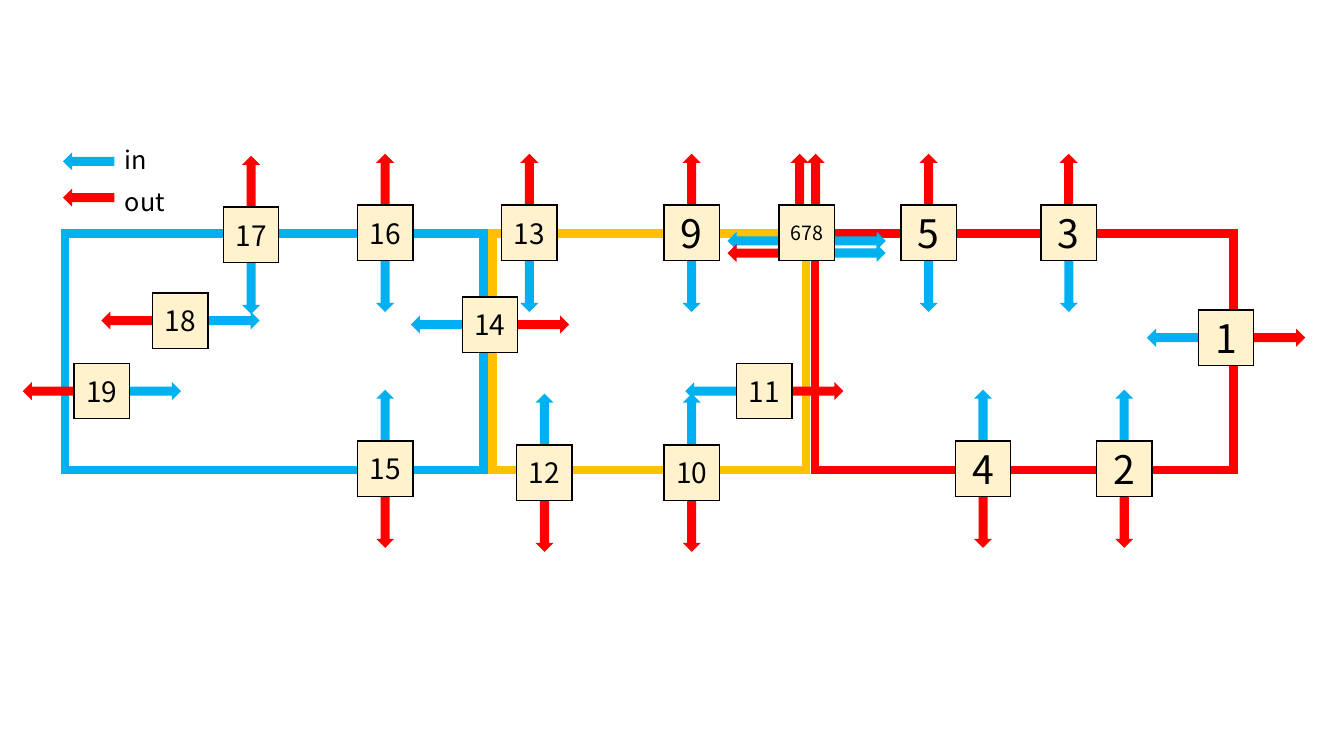
from lxml import etree
from pptx import Presentation
from pptx import util as u
from pptx.dml.color import RGBColor
from pptx.enum import shapes, text
from pptx.oxml import ns

IN_BLUE = RGBColor(0x00, 0xB0, 0xF0)
OUT_RED = RGBColor(0xFF, 0x00, 0x00)
AMBER = RGBColor(0xFF, 0xC0, 0x00)
CREAM = RGBColor(0xFF, 0xF2, 0xCC)
WHITE = RGBColor(0xFF, 0xFF, 0xFF)
BLACK = RGBColor(0x00, 0x00, 0x00)
FONT = "Noto Sans CJK JP"

BOX = 0.55
ARROW_LENGTH, ARROW_WIDTH = 0.51, 0.18
REACH = 0.53  # from the centre of a box to the centre of its arrow
# direction: (x step, y step, rotation)
DIRECTIONS = {"right": (1, 0, 0), "down": (0, 1, 90),
              "left": (-1, 0, 180), "up": (0, -1, 270)}

prs = Presentation()
prs.slide_width, prs.slide_height = u.Inches(13.33), u.Inches(7.5)
slide = prs.slides.add_slide(prs.slide_layouts[6])


def add_block(kind, center_x, center_y, width, height, fill, line=None, weight=1):
    block = slide.shapes.add_shape(
        kind, u.Inches(center_x - width / 2), u.Inches(center_y - height / 2),
        u.Inches(width), u.Inches(height))
    block.shadow.inherit = False
    block.fill.solid()
    block.fill.fore_color.rgb = fill
    if line is None:
        block.line.fill.background()
    else:
        block.line.color.rgb = line
        block.line.width = u.Pt(weight)
        outline = block.element.spPr.find(ns.qn("a:ln"))
        etree.SubElement(outline, ns.qn("a:miter"), lim="800000")
    return block


def write(frame, words, size, align):
    paragraph = frame.paragraphs[0]
    paragraph.alignment = align
    run = paragraph.add_run()
    run.text = words
    for name, value in {"name": FONT, "size": u.Pt(size)}.items():
        setattr(run.font, name, value)
    run.font.color.rgb = BLACK


# Legend
for label, color, arrow_y, label_top in [("in", IN_BLUE, 1.6, 1.38),
                                         ("out", OUT_RED, 1.96, 1.8)]:
    key = add_block(shapes.MSO_SHAPE.RIGHT_ARROW, 0.88, arrow_y,
                    ARROW_LENGTH, ARROW_WIDTH, color)
    key.rotation = 180
    caption = slide.shapes.add_textbox(u.Inches(1.14), u.Inches(label_top),
                                       u.Inches(1.11), u.Inches(0.4)).text_frame
    caption.word_wrap = True
    caption.auto_size = text.MSO_AUTO_SIZE.SHAPE_TO_FIT_TEXT
    write(caption, label, 18, text.PP_ALIGN.LEFT)

# Three zones
for center_x, width, color in [(2.72, 4.15, IN_BLUE), (6.44, 3.11, AMBER),
                               (10.16, 4.15, OUT_RED)]:
    add_block(shapes.MSO_SHAPE.RECTANGLE, center_x, 3.49, width, 2.35, WHITE, color, 6)

# Gates: number, centre x, centre y, inward and outward direction
gates = [
    ("1", 12.16, 3.35, "left", "right"),
    ("3", 10.6, 2.31, "down", "up"),
    ("2", 11.15, 4.65, "up", "down"),
    ("4", 9.75, 4.65, "up", "down"),
    ("5", 9.21, 2.31, "down", "up"),
    ("9", 6.86, 2.31, "down", "up"),
    ("13", 5.25, 2.31, "down", "up"),
    ("14", 4.86, 3.22, "left", "right"),
    ("12", 5.4, 4.69, "up", "down"),
    ("11", 7.58, 3.88, "left", "right"),
    ("10", 6.86, 4.69, "up", "down"),
    ("16", 3.82, 2.31, "down", "up"),
    ("15", 3.82, 4.65, "up", "down"),
    ("17", 2.49, 2.33, "down", "up"),
    ("19", 1.01, 3.88, "right", "left"),
    ("18", 1.79, 3.18, "right", "left"),
]
shared_x, shared_y = 8.0, 2.31

# Arrows: colour, box centre moved sideways where several share a side, direction
arrows = [(IN_BLUE, x, y, inward) for _, x, y, inward, _ in gates]
arrows += [(OUT_RED, x, y, outward) for _, x, y, _, outward in gates]
arrows += [
    (IN_BLUE, shared_x, shared_y + 0.08, "left"),
    (OUT_RED, shared_x, shared_y + 0.2, "left"),
    (OUT_RED, shared_x - 0.07, shared_y, "up"),
    (OUT_RED, shared_x + 0.09, shared_y, "up"),
    (IN_BLUE, shared_x, shared_y + 0.08, "right"),
    (IN_BLUE, shared_x, shared_y + 0.2, "right"),
]
for color, x, y, direction in arrows:
    step_x, step_y, rotation = DIRECTIONS[direction]
    arrow = add_block(shapes.MSO_SHAPE.RIGHT_ARROW, x + step_x * REACH, y + step_y * REACH,
                      ARROW_LENGTH, ARROW_WIDTH, color)
    arrow.rotation = rotation

# Numbered boxes, with smaller type for longer numbers
SIZES = {1: 28, 2: 20, 3: 14}
for number, x, y, *_ in gates + [("678", shared_x, shared_y)]:
    gate = add_block(shapes.MSO_SHAPE.RECTANGLE, x, y, BOX, BOX, CREAM, BLACK).text_frame
    gate.word_wrap = False
    gate.vertical_anchor = text.MSO_ANCHOR.MIDDLE
    write(gate, number, SIZES[len(number)], text.PP_ALIGN.CENTER)

prs.save("out.pptx")
